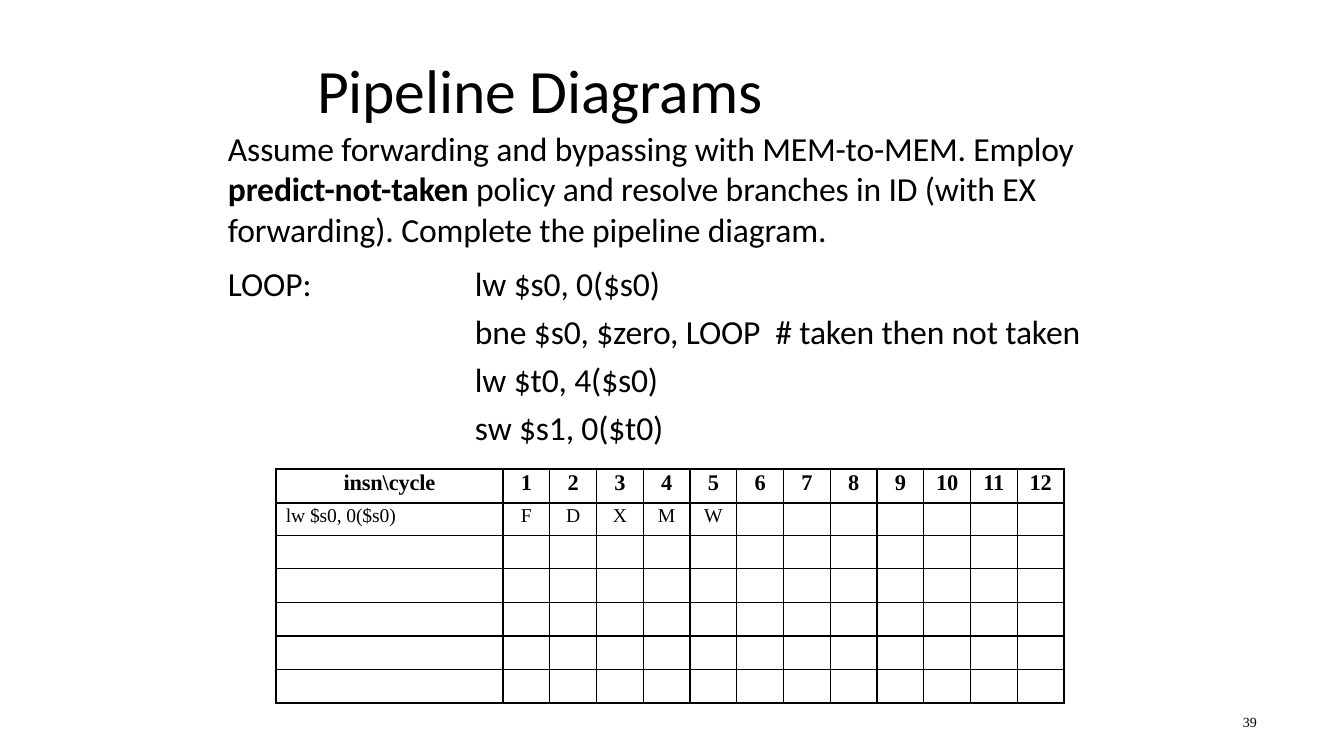
from lxml import etree
from pptx import Presentation
from pptx.dml.color import RGBColor
from pptx.enum.text import MSO_ANCHOR, PP_ALIGN
from pptx.oxml.ns import qn
from pptx.util import Pt

LEFT, MID, TOP = PP_ALIGN.LEFT, PP_ALIGN.CENTER, MSO_ANCHOR.TOP
SCALE = 914400 / 100.8
BLACK, WHITE = "000000", "FFFFFF"
SANS, SERIF = "Calibri", "Times New Roman"
THIN, THICK = 1, 2.25

TITLE = {"name": SANS, "size": Pt(44)}
BODY = {"name": SANS, "size": Pt(24)}
STRONG = BODY | {"bold": True}
PAGE = {"name": SERIF, "size": Pt(10)}
HEAD = {"name": SERIF, "size": Pt(16), "bold": True}
CELL = {"name": SERIF, "size": Pt(14), "bold": False}

INTRO = [
    ("Assume forwarding and bypassing with MEM-to-MEM. Employ  ", BODY),
    ("predict-not-taken ", STRONG),
    ("policy and resolve branches in ID (with EX forwarding). "
     "Complete the pipeline diagram.", BODY),
]
CODE = ["lw $s0, 0($s0)", "bne $s0, $zero, LOOP  # taken then not taken",
        "lw $t0, 4($s0)", "sw $s1, 0($t0)"]
CYCLES = 12
ROWS = [["insn\\cycle", *map(str, range(1, CYCLES + 1))],
        ["lw $s0, 0($s0)", *"FDXMW"]] + [[]] * 5


def px(num):
    """Turn pixels into EMU."""
    return round(num * SCALE)


def ink(code):
    """Turn a hex string into a colour."""
    return RGBColor.from_string(code)


def put(item, style):
    """Set each named value on an object."""
    for key, value in style.items():
        setattr(item, key, value)


def write(para, text, style):
    """Add one styled run to a paragraph."""
    run = para.add_run()
    run.text = text
    put(run.font, style)
    run.font.color.rgb = ink(BLACK)
    run.font._element.set("spc", "-10")


def add_text(slide, spot, lines, gap=0):
    """Add a text box whose lines are lists of styled runs."""
    frame = slide.shapes.add_textbox(*map(px, spot)).text_frame
    put(frame, {"margin_left": 0, "margin_right": 0, "margin_top": px(1),
                "margin_bottom": 0, "word_wrap": True,
                "vertical_anchor": TOP})
    for row, runs in enumerate(lines):
        para = frame.add_paragraph() if row else frame.paragraphs[0]
        para.space_before = Pt(gap if row else 0)
        for text, style in runs:
            write(para, text, style)


def edge(cell, side, width):
    """Draw one border of a cell."""
    line = etree.SubElement(cell._tc.get_or_add_tcPr(), qn(f"a:ln{side}"),
                            w=str(Pt(width)))
    fill = etree.SubElement(line, qn("a:solidFill"))
    etree.SubElement(fill, qn("a:srgbClr"), val=BLACK)


def add_grid(slide, spot, first, heights):
    """Add the pipeline table with a thick outer frame."""
    count, wide = len(heights), CYCLES + 1
    grid = slide.shapes.add_table(count, wide, *map(px, spot)).table
    put(grid, {"first_row": False, "horz_banding": False})
    for col in range(wide):
        width = (spot[2] - first) / CYCLES if col else first
        grid.columns[col].width = px(width)
    for row, height in enumerate(heights):
        grid.rows[row].height = px(height)
        texts = ROWS[row] + [""] * (wide - len(ROWS[row]))
        for col, text in enumerate(texts):
            cell = grid.cell(row, col)
            name = row > 0 and col == 0
            put(cell, {"margin_left": px(10 if name else 0),
                       "margin_right": 0, "margin_top": px(2),
                       "margin_bottom": 0, "vertical_anchor": TOP})
            outer = {"L": col == 0, "R": col == wide - 1,
                     "T": row == 0, "B": row == count - 1}
            for side, bold in outer.items():
                edge(cell, side, THICK if bold else THIN)
            cell.fill.solid()
            cell.fill.fore_color.rgb = ink(WHITE)
            para = cell.text_frame.paragraphs[0]
            para.alignment = LEFT if name else MID
            write(para, text, CELL if row else HEAD)


def main():
    """Build the slide and save it."""
    deck = Presentation()
    put(deck, {"slide_width": px(1344), "slide_height": px(756)})
    slide = deck.slides.add_slide(deck.slide_layouts[6])
    add_text(slide, (317, 51, 602, 77), [[("Pipeline Diagrams", TITLE)]])
    add_text(slide, (228, 127, 857, 124), [INTRO])
    add_text(slide, (228, 262, 87, 43), [[("LOOP:", BODY)]])
    add_text(slide, (475, 262, 631, 189),
             [[(line, BODY)] for line in CODE], 5.4)
    add_grid(slide, (276, 469, 788, 233), 227, [34, 31] + [33.6] * 5)
    add_text(slide, (1243, 713, 28, 17), [[("39", PAGE)]])
    deck.save("out.pptx")


if __name__ == "__main__":
    main()
